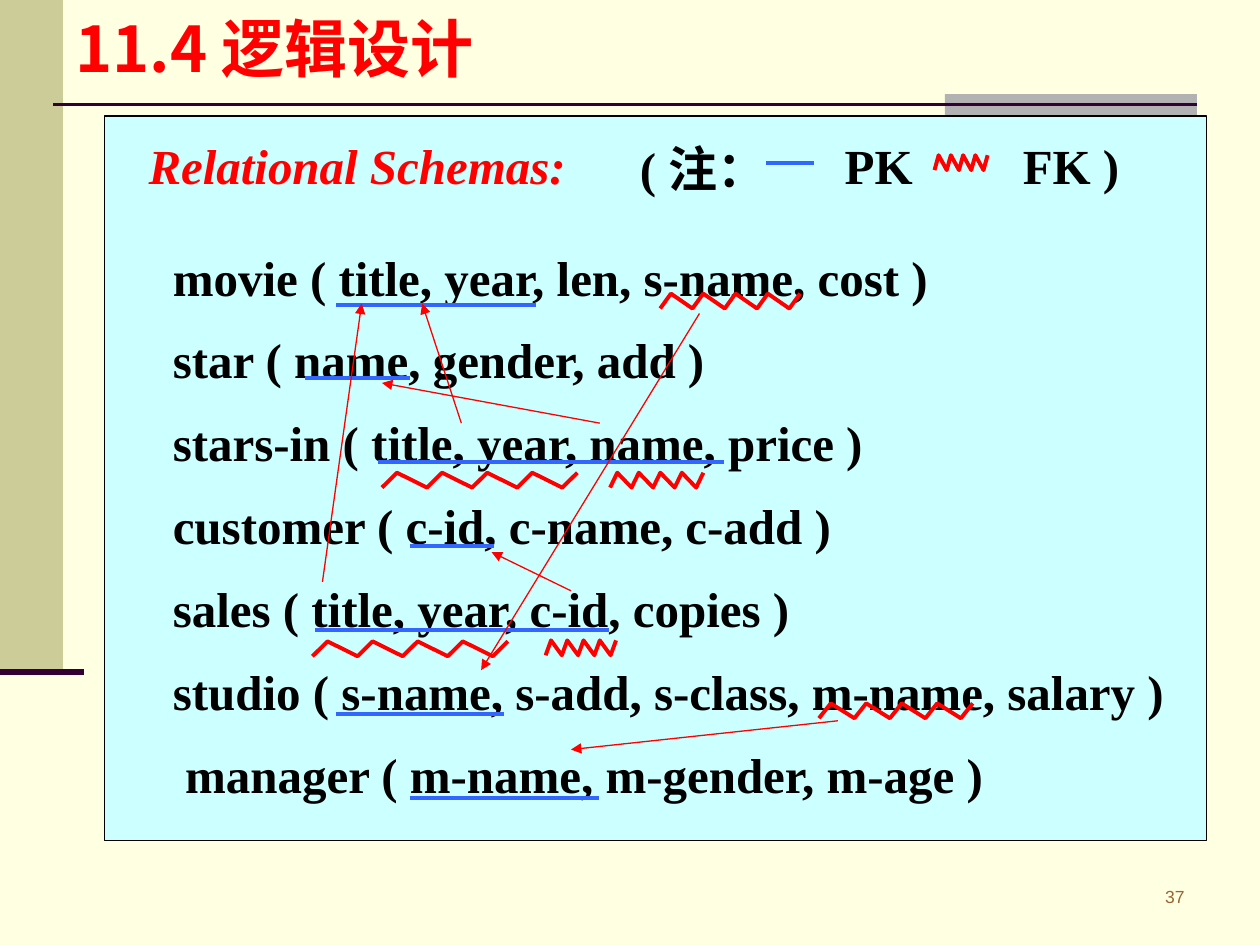
from dataclasses import dataclass
from typing import NamedTuple

from pptx import Presentation
from pptx.dml.color import RGBColor
from pptx.enum.shapes import MSO_CONNECTOR, MSO_SHAPE
from pptx.enum.text import MSO_ANCHOR, MSO_AUTO_SIZE, PP_ALIGN
from pptx.oxml.ns import qn
from pptx.util import Cm, Pt
from lxml import etree

RECT, STRAIGHT = MSO_SHAPE.RECTANGLE, MSO_CONNECTOR.STRAIGHT
LEFT, RIGHT, JUSTIFY = PP_ALIGN.LEFT, PP_ALIGN.RIGHT, PP_ALIGN.JUSTIFY
MIDDLE, TOP = MSO_ANCHOR.MIDDLE, MSO_ANCHOR.TOP
NO_FIT = MSO_AUTO_SIZE.NONE

CREAM = RGBColor(0xFF, 0xFF, 0xE1)
KHAKI = RGBColor(0xCC, 0xCC, 0x99)
GREY = RGBColor(0xB2, 0xB2, 0xB2)
PLUM = RGBColor(0x33, 0x00, 0x33)
PALE_CYAN = RGBColor(0xCC, 0xFF, 0xFF)
BLACK = RGBColor(0x00, 0x00, 0x00)
RED = RGBColor(0xFF, 0x00, 0x00)
BLUE = RGBColor(0x33, 0x66, 0xFF)
BROWN = RGBColor(0x99, 0x66, 0x33)

SERIF, SANS, CJK = "Times New Roman", "Arial", "Noto Sans CJK SC"
HEADING = dict(name=CJK, size=Pt(36), bold=True, color=RED)
SCHEMA = dict(name=SERIF, size=Pt(28), bold=True, italic=False, color=BLACK)
CAPTION = {**SCHEMA, "italic": True, "color": RED}
NOTE = {**SCHEMA, "name": CJK}
PAGE_NUMBER = dict(name=SANS, size=Pt(10), color=BROWN)

WAVE_HEIGHT, WAVE_PERIODS = 0.3, 4
CAPTION_LINE = Pt(41)


class Underline(NamedTuple):
    """Primary key mark, in cm."""
    start: float
    end: float
    y: float


class Wave(NamedTuple):
    """Foreign key mark, in cm."""
    left: float
    top: float
    width: float


class Reference(NamedTuple):
    """Arrow from a foreign key to the key it refers to, in cm."""
    x1: float
    y1: float
    x2: float
    y2: float


class LegendLabel(NamedTuple):
    """Legend wording as styled runs, with its box in cm."""
    box: tuple
    runs: tuple


@dataclass
class Relation:
    schema: str
    primary: Underline
    foreign: tuple[Wave, ...] = ()
    indent: float = 0.49
    space_before: float = 7


LEGEND_KEY, LEGEND_WAVE = Underline(15.44, 16.41, 3.28), Wave(18.84, 3.13, 1.07)
LEGEND_LABELS = (
    # The CJK font has a deeper descent, so its box sits slightly lower
    LegendLabel((12.65, 2.41, 3.8, 1.7), (("( ", SCHEMA), ("注：", NOTE))),
    LegendLabel((16.78, 2.34, 2.2, 1.7), (("PK", SCHEMA),)),
    LegendLabel((20.37, 2.34, 3, 1.7), (("FK )", SCHEMA),)),
)
RELATIONS = (
    Relation("movie ( title, year, len, s-name, cost )", Underline(6.78, 10.8, 6.15),
             (Wave(13.31, 5.92, 2.82),), space_before=23.5),
    Relation("star ( name, gender, add )", Underline(6.15, 8.26, 7.62)),
    Relation("stars-in ( title, year, name, price )", Underline(7.62, 14.6, 9.32),
             (Wave(7.7, 9.53, 3.94), Wave(12.3, 9.53, 1.88))),
    Relation("customer ( c-id, c-name, c-add )", Underline(8.26, 9.96, 11)),
    Relation("sales ( title, year, c-id, copies )", Underline(6.35, 12.27, 12.7),
             (Wave(6.3, 12.93, 3.94), Wave(11, 12.91, 1.42))),
    Relation("studio ( s-name, s-add, s-class, m-name, salary )",
             Underline(6.78, 10.16, 14.4), (Wave(16.51, 14.18, 3.1),)),
    Relation("manager ( m-name, m-gender, m-age )", Underline(8.26, 12.07, 16.08),
             indent=0.74),
)
REFERENCES = (
    Reference(14.1, 6.32, 9.7, 13.51),
    Reference(9.3, 8.53, 8.51, 6.12),
    Reference(12.09, 8.53, 7.7, 7.72),
    Reference(6.5, 11.73, 7.29, 6.12),
    Reference(11.51, 11.91, 9.91, 11.13),
    Reference(16.89, 14.53, 11.51, 15.11),
)


def add_box(slide, box: tuple, fill: RGBColor, outline: RGBColor | None = None) -> None:
    panel = slide.shapes.add_shape(RECT, *map(Cm, box))
    panel.shadow.inherit = False
    panel.fill.solid()
    panel.fill.fore_color.rgb = fill
    if outline is None:
        panel.line.fill.background()
    else:
        panel.line.color.rgb = outline
        panel.line.width = Pt(0.75)


def add_line(slide, ends: tuple, color: RGBColor, width: float, arrow: bool = False) -> None:
    stroke = slide.shapes.add_connector(STRAIGHT, *map(Cm, ends))
    stroke.line.color.rgb = color
    stroke.line.width = Pt(width)
    if arrow:
        etree.SubElement(stroke.line._get_or_add_ln(), qn("a:tailEnd"), type="triangle")
    etree.SubElement(stroke._element.spPr, qn("a:effectLst"))


def add_underline(slide, mark: Underline) -> None:
    add_line(slide, (mark.start, mark.y, mark.end, mark.y), BLUE, 2.25)


def add_wave(slide, wave: Wave) -> None:
    # Each period rises over one unit and falls over two; a last rise ends it
    unit = wave.width / (3 * WAVE_PERIODS + 1)
    bottom = wave.top + WAVE_HEIGHT
    points = []
    for period in range(WAVE_PERIODS + 1):
        x = wave.left + 3 * period * unit
        points += [(Cm(x), Cm(bottom)), (Cm(x + unit), Cm(wave.top))]
    builder = slide.shapes.build_freeform(*points[0])
    builder.add_line_segments(points[1:], close=False)
    zigzag = builder.convert_to_shape()
    zigzag.shadow.inherit = False
    zigzag.fill.background()
    zigzag.line.color.rgb = RED
    zigzag.line.width = Pt(2.25)


def add_run(paragraph, text: str, style: dict) -> None:
    run = paragraph.add_run()
    run.text = text
    for key, value in style.items():
        if key == "color":
            run.font.color.rgb = value
        else:
            setattr(run.font, key, value)
    etree.SubElement(run.font._element, qn("a:ea"), typeface=style["name"])


def place(holder, box: tuple, anchor) -> None:
    for key, value in zip(("left", "top", "width", "height"), box):
        setattr(holder, key, Cm(value))
    settings = dict(word_wrap=True, auto_size=NO_FIT, vertical_anchor=anchor)
    for key, value in settings.items():
        setattr(holder.text_frame, key, value)


def add_label(slide, box: tuple, runs: tuple, **settings) -> None:
    label = slide.shapes.add_textbox(*map(Cm, box))
    place(label, box, TOP)
    paragraph = label.text_frame.paragraphs[0]
    for key, value in settings.items():
        setattr(paragraph, key, value)
    for text, style in runs:
        add_run(paragraph, text, style)


def format_paragraph(paragraph, indent: float, before: float, spacing=1.2) -> None:
    properties = paragraph._p.get_or_add_pPr()
    properties.set("marL", str(Cm(indent)))
    properties.set("indent", "0")
    etree.SubElement(properties, qn("a:buNone"))
    settings = dict(alignment=JUSTIFY, line_spacing=spacing, space_before=Pt(before))
    for key, value in settings.items():
        setattr(paragraph, key, value)


def fill_body(frame) -> None:
    caption = frame.paragraphs[0]
    format_paragraph(caption, 0, 0, CAPTION_LINE)
    add_run(caption, "Relational Schemas:", CAPTION)
    for relation in RELATIONS:
        row = frame.add_paragraph()
        format_paragraph(row, relation.indent, relation.space_before)
        add_run(row, relation.schema, SCHEMA)


def main() -> None:
    deck = Presentation()
    deck.slide_width, deck.slide_height = Cm(25.4), Cm(19.05)
    slide = deck.slides.add_slide(deck.slide_layouts[1])
    slide.background.fill.solid()
    slide.background.fill.fore_color.rgb = CREAM
    title, body = slide.placeholders

    # Background decoration and card
    add_box(slide, (0, 0, 1.27, 13.54), KHAKI)
    add_box(slide, (19.05, 1.9, 5.08, 0.51), GREY)
    add_line(slide, (1.07, 2.11, 24.13, 2.11), PLUM, 1.5)
    add_line(slide, (0, 13.54, 1.7, 13.54), PLUM, 3.5)
    add_box(slide, (2.11, 2.34, 22.22, 14.6), PALE_CYAN, BLACK)

    # Title and schemas, brought in front of the card
    for holder in (title, body):
        slide.shapes._spTree.append(holder._element)
    place(title, (1.27, 0, 21.59, 1.9), MIDDLE)
    heading = title.text_frame.paragraphs[0]
    heading.alignment = LEFT
    add_run(heading, "11.4 逻辑设计", HEADING)
    place(body, (2.74, 2.34, 21.39, 15.19), TOP)
    fill_body(body.text_frame)

    # Legend and key marks
    for label in LEGEND_LABELS:
        add_label(slide, label.box, label.runs, line_spacing=CAPTION_LINE)
    add_underline(slide, LEGEND_KEY)
    add_wave(slide, LEGEND_WAVE)
    for relation in RELATIONS:
        add_underline(slide, relation.primary)
        for wave in relation.foreign:
            add_wave(slide, wave)

    # References between relations
    for reference in REFERENCES:
        add_line(slide, reference, RED, 0.75, arrow=True)

    # Page number
    add_label(slide, (20.9, 17.73, 3.23, 0.89), (("37", PAGE_NUMBER),), alignment=RIGHT)

    deck.save("out.pptx")


if __name__ == "__main__":
    main()
